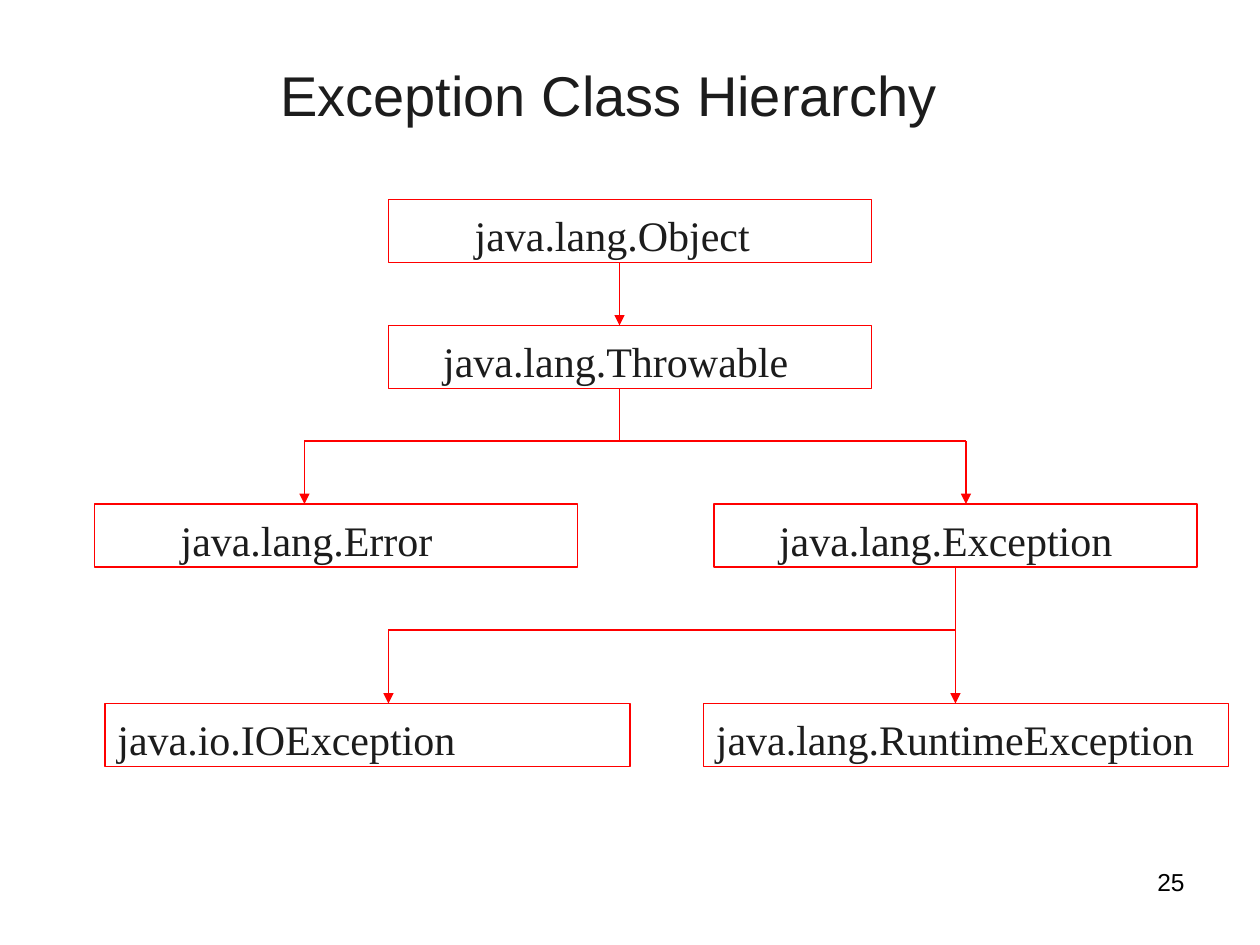
from typing import NamedTuple

from lxml import etree
from pptx import Presentation
from pptx.dml.color import RGBColor
from pptx.enum.shapes import MSO_CONNECTOR, MSO_SHAPE
from pptx.enum.text import MSO_ANCHOR, PP_ALIGN
from pptx.oxml.ns import qn
from pptx.util import Inches, Pt

RECT = MSO_SHAPE.RECTANGLE
STRAIGHT = MSO_CONNECTOR.STRAIGHT
TOP, MIDDLE = MSO_ANCHOR.TOP, MSO_ANCHOR.MIDDLE
LEFT, CENTER, RIGHT = PP_ALIGN.LEFT, PP_ALIGN.CENTER, PP_ALIGN.RIGHT
RED = RGBColor(0xFF, 0x00, 0x00)
INK = RGBColor(0x1C, 0x1C, 0x1C)
BLACK = RGBColor(0x00, 0x00, 0x00)

# Grid of 120 columns by 90 rows
COLS, ROWS = 120, 90
CELL = Inches(10) // COLS
BOX_H = 6
BOTTOM = 2  # connection site


class ClassBox(NamedTuple):
    name: str
    col: int
    row: int
    width: int
    indent: int = 0


class Link(NamedTuple):
    start: tuple[int, int]
    end: tuple[int, int]
    arrow: bool = False
    parent: str = ""  # class whose bottom middle the link leaves


BOXES = [
    ClassBox("java.lang.Object", 37, 19, 46, 7),
    ClassBox("java.lang.Throwable", 37, 31, 46, 4),
    ClassBox("java.lang.Exception", 68, 48, 46, 5),
    ClassBox("java.lang.Error", 9, 48, 46, 7),
    ClassBox("java.lang.RuntimeException", 67, 67, 50),
    ClassBox("java.io.IOException", 10, 67, 50),
]

LINKS = [
    # Object to Throwable
    Link((59, 25), (59, 31), True),
    # Throwable to Error and Exception
    Link((59, 37), (59, 42)),
    Link((59, 42), (92, 42)),
    Link((59, 42), (29, 42)),
    Link((92, 42), (92, 48), True),
    Link((29, 42), (29, 48), True),
    # Exception to RuntimeException and IOException
    Link((91, 54), (91, 67), True, "java.lang.Exception"),
    Link((91, 60), (37, 60)),
    Link((37, 60), (37, 67), True),
]


def write(s, text: str, font: str, size: int, color: RGBColor, align, anchor) -> None:
    tf = s.text_frame
    tf.word_wrap = True
    tf.vertical_anchor = anchor
    p = tf.paragraphs[0]
    p.text = text
    p.alignment = align
    p.font.name, p.font.size = font, Pt(size)
    p.font.color.rgb = color


def add_label(slide, text: str, col: int, row: int, width: int, height: int,
              size: int, color: RGBColor, align, anchor) -> None:
    s = slide.shapes.add_textbox(*(CELL * n for n in (col, row, width, height)))
    write(s, text, "Arial", size, color, align, anchor)


def add_class_box(slide, box: ClassBox):
    s = slide.shapes.add_shape(
        RECT, *(CELL * n for n in (box.col, box.row, box.width, BOX_H)))
    s.shadow.inherit = False
    s.fill.background()
    s.line.color.rgb = RED
    s.line.width = Pt(0.75)
    write(s, box.name, "Times New Roman", 24, INK, LEFT, TOP)
    tf = s.text_frame
    tf.margin_left = Inches(0.1) + CELL * box.indent
    tf.margin_top, tf.margin_bottom = Inches(0.08), 0
    return s


def add_link(slide, link: Link, shapes: dict) -> None:
    s = slide.shapes.add_connector(
        STRAIGHT, *(CELL * n for n in link.start + link.end))
    if link.parent:
        s.begin_connect(shapes[link.parent], BOTTOM)
    s.line.color.rgb = RED
    s.line.width = Pt(0.75)
    if link.arrow:
        etree.SubElement(s.line._get_or_add_ln(), qn("a:tailEnd"), type="triangle")
    etree.SubElement(s._element.spPr, qn("a:effectLst"))


def main() -> None:
    prs = Presentation()
    prs.slide_width, prs.slide_height = CELL * COLS, CELL * ROWS
    slide = prs.slides.add_slide(prs.slide_layouts[6])

    # Title and page number
    add_label(slide, "Exception Class Hierarchy", 7, 3, 102, 12, 32, INK, CENTER, MIDDLE)
    add_label(slide, "25", 86, 82, 28, 6, 14, BLACK, RIGHT, TOP)

    # Class tree
    shapes = {box.name: add_class_box(slide, box) for box in BOXES}
    for link in LINKS:
        add_link(slide, link, shapes)

    prs.save("out.pptx")


if __name__ == "__main__":
    main()
